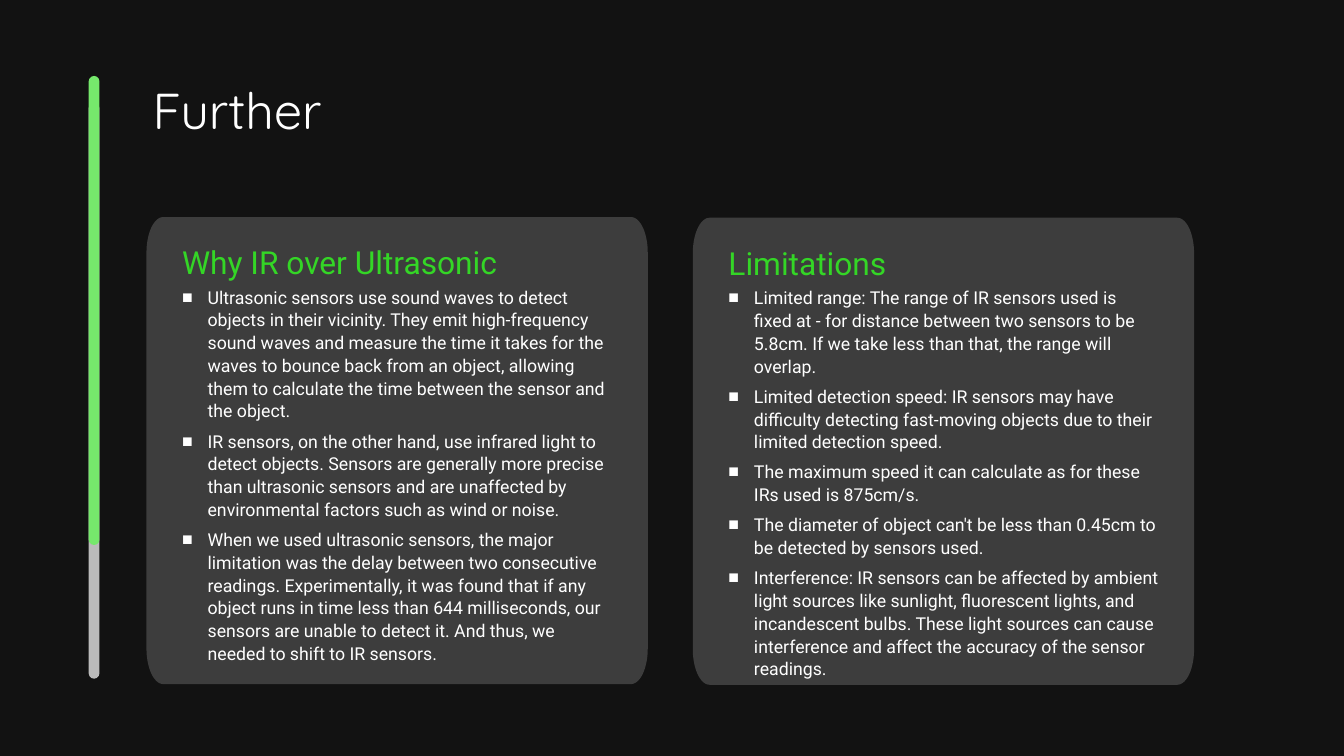
"""Build the slide "Further" with two rounded panels of text."""
from dataclasses import dataclass
from math import cos, radians, sin

from lxml.etree import SubElement
from pptx import Presentation
from pptx.dml.color import RGBColor
from pptx.enum.shapes import MSO_SHAPE
from pptx.enum.text import MSO_ANCHOR, MSO_AUTO_SIZE, PP_ALIGN
from pptx.oxml.ns import qn
from pptx.util import Inches, Pt

WHITE, GREEN, GREY = "FFFFFF", "34D626", "3D3D3D"


@dataclass
class Panel:
    left: float
    top: float
    head: str
    points: list[str]


@dataclass
class Bar:
    top: float
    height: float
    tint: str


PANELS = [
    Panel(2.18, 3.23, "Why IR over Ultrasonic", [
        "Ultrasonic sensors use sound waves to detect objects in their vicinity. "
        "They emit high-frequency sound waves and measure the time it takes for the "
        "waves to bounce back from an object, allowing them to calculate the time "
        "between the sensor and the object.",
        "IR sensors, on the other hand, use infrared light to detect objects. "
        "Sensors are generally more precise than ultrasonic sensors and are "
        "unaffected by environmental factors such as wind or noise.",
        "When we used ultrasonic sensors, the major limitation was the delay between "
        "two consecutive readings. Experimentally, it was found that if any object "
        "runs in time less than 644 milliseconds, our sensors are unable to detect "
        "it. And thus, we needed to shift to IR sensors.",
    ]),
    Panel(10.31, 3.24, "Limitations", [
        "Limited range: The range of IR sensors used is fixed at - for distance "
        "between two sensors to be 5.8cm. If we take less than that, the "
        "range will overlap.",
        "Limited detection speed: IR sensors may have difficulty detecting "
        "fast-moving objects due to their limited detection speed.",
        "The maximum speed it can calculate as for these IRs used is 875cm/s.",
        "The diameter of object can't be less than 0.45cm to be detected "
        "by sensors used.",
        "Interference: IR sensors can be affected by ambient light sources like "
        "sunlight, fluorescent lights, and incandescent bulbs. These light sources "
        "can cause interference and affect the accuracy of the sensor readings.",
    ]),
]
BARS = [Bar(1.53, 8.57, "BBBBBB"), Bar(1.13, 6.98, "76E86C")]


def paint(target, tint: str) -> None:
    """Give a fill or font a solid colour."""
    if hasattr(target, "solid"):
        target.solid()
        target.fore_color.rgb = RGBColor.from_string(tint)
    else:
        target.color.rgb = RGBColor.from_string(tint)


def finish(shape, tint: str) -> None:
    """Fill a shape and drop its line and shadow."""
    paint(shape.fill, tint)
    shape.line.fill.background()
    shape.shadow.inherit = False


def draw_bar(slide, bar: Bar) -> None:
    """Draw an upright bar with round ends."""
    shape = slide.shapes.add_shape(MSO_SHAPE.ROUNDED_RECTANGLE, Inches(1.32),
                                   Inches(bar.top), Inches(0.16), Inches(bar.height))
    shape.adjustments[0] = 0.5
    finish(shape, bar.tint)


def draw_panel(slide, panel: Panel, width: float = 7.46, height: float = 6.95,
               rx: float = 0.25, ry: float = 0.53) -> None:
    """Draw a panel with oval corners behind the text."""
    right, base = panel.left + width - rx, panel.top + height - ry
    left, top = panel.left + rx, panel.top + ry
    hubs = [(right, base), (left, base), (left, top), (right, top)]
    dots = [(Inches(x + rx * cos(radians(turn))), Inches(y + ry * sin(radians(turn))))
            for corner, (x, y) in enumerate(hubs)
            for turn in range(corner * 90, corner * 90 + 91, 5)]
    pen = slide.shapes.build_freeform(*dots[0])
    pen.add_line_segments(dots[1:], close=True)
    shape = pen.convert_to_shape()
    finish(shape, GREY)
    slide.shapes._spTree.insert(2, shape._element)


def write(holder, box: tuple, lines: list[str], size: int, font: str, tint: str,
          space: float | Pt, align: PP_ALIGN = PP_ALIGN.LEFT,
          marks: bool = False) -> None:
    """Place a holder and set its text."""
    holder.left, holder.top, holder.width, holder.height = map(Inches, box)
    frame = holder.text_frame
    frame.text = "\n".join(lines)
    frame.word_wrap = True
    frame.auto_size = MSO_AUTO_SIZE.NONE
    frame.vertical_anchor = MSO_ANCHOR.TOP
    frame.margin_left = frame.margin_right = 0
    frame.margin_top = frame.margin_bottom = 0
    for para in frame.paragraphs:
        para.alignment = align
        para.line_spacing = space
        para.space_before = Pt(0)
        para.space_after = Pt(8 if marks else 0)
        if marks:
            props = para._p.get_or_add_pPr()
            props.set("marL", str(Inches(0.38)))
            props.set("indent", str(-Inches(0.38)))
            SubElement(props, qn("a:buChar"), char="■")
        for run in para.runs:
            run.font.size, run.font.name, run.font.bold = Pt(size), font, False
            paint(run.font, tint)


def main() -> None:
    """Build and save the slide."""
    deck = Presentation()
    deck.slide_width, deck.slide_height = Inches(20), Inches(11.25)
    slide = deck.slides.add_slide(deck.slide_layouts[4])
    paint(slide.background.fill, "121212")
    title, *holders = slide.placeholders
    write(title, (2.27, 1.02, 5.77, 1.03), ["Further"], 54, "Quicksand", WHITE, Pt(75.6))
    for panel, head, body in zip(PANELS, holders[::2], holders[1::2]):
        draw_panel(slide, panel)
        left = panel.left + 0.53
        write(head, (left, panel.top + 0.29, 5.91, 0.62), [panel.head], 34, "Roboto",
              GREEN, Pt(47.6), PP_ALIGN.JUSTIFY)
        write(body, (left, panel.top + 1.01, 6.4, 5.9), panel.points, 19, "Roboto",
              WHITE, 1.07, marks=True)
    for bar in BARS:
        draw_bar(slide, bar)
    deck.save("out.pptx")


if __name__ == "__main__":
    main()
